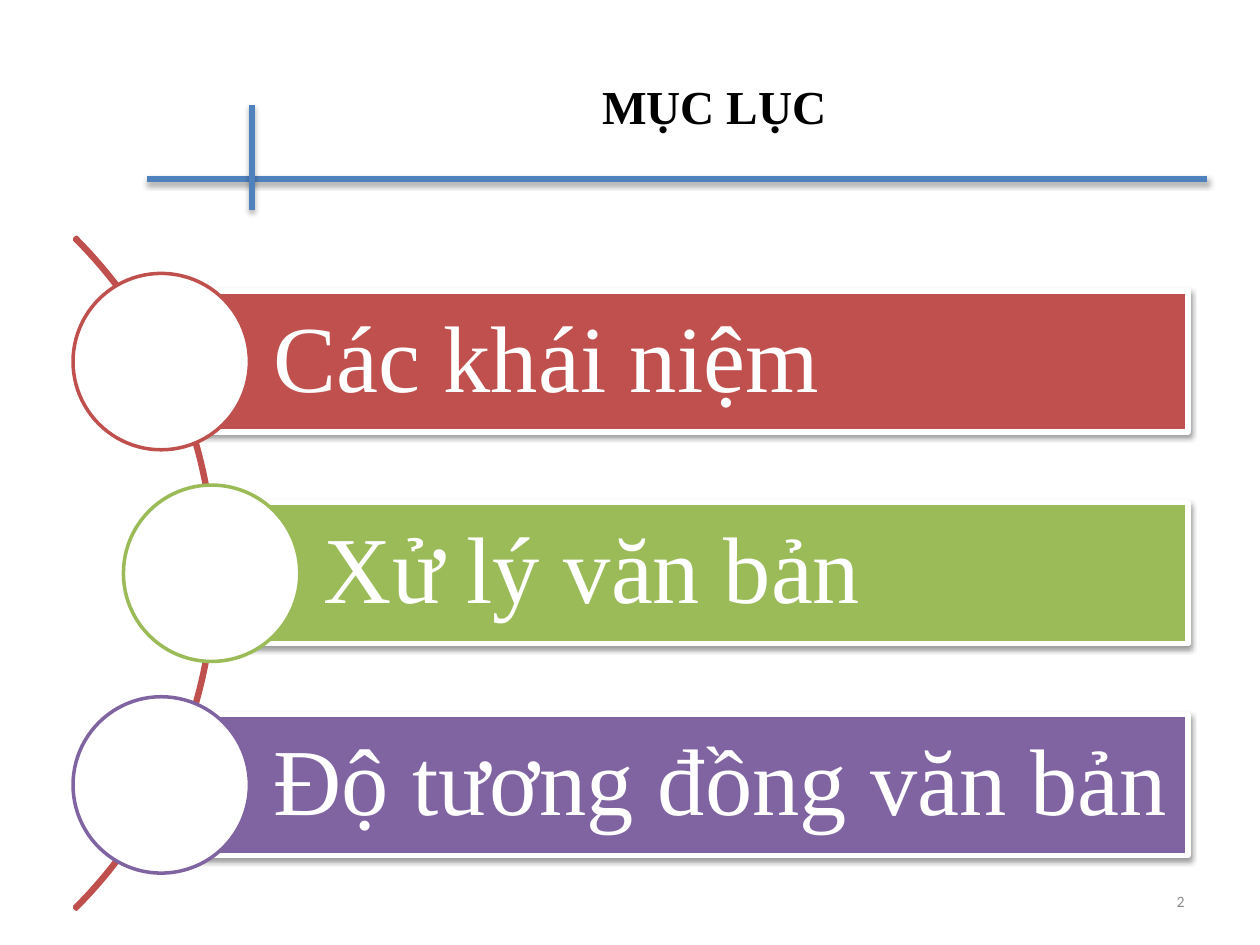
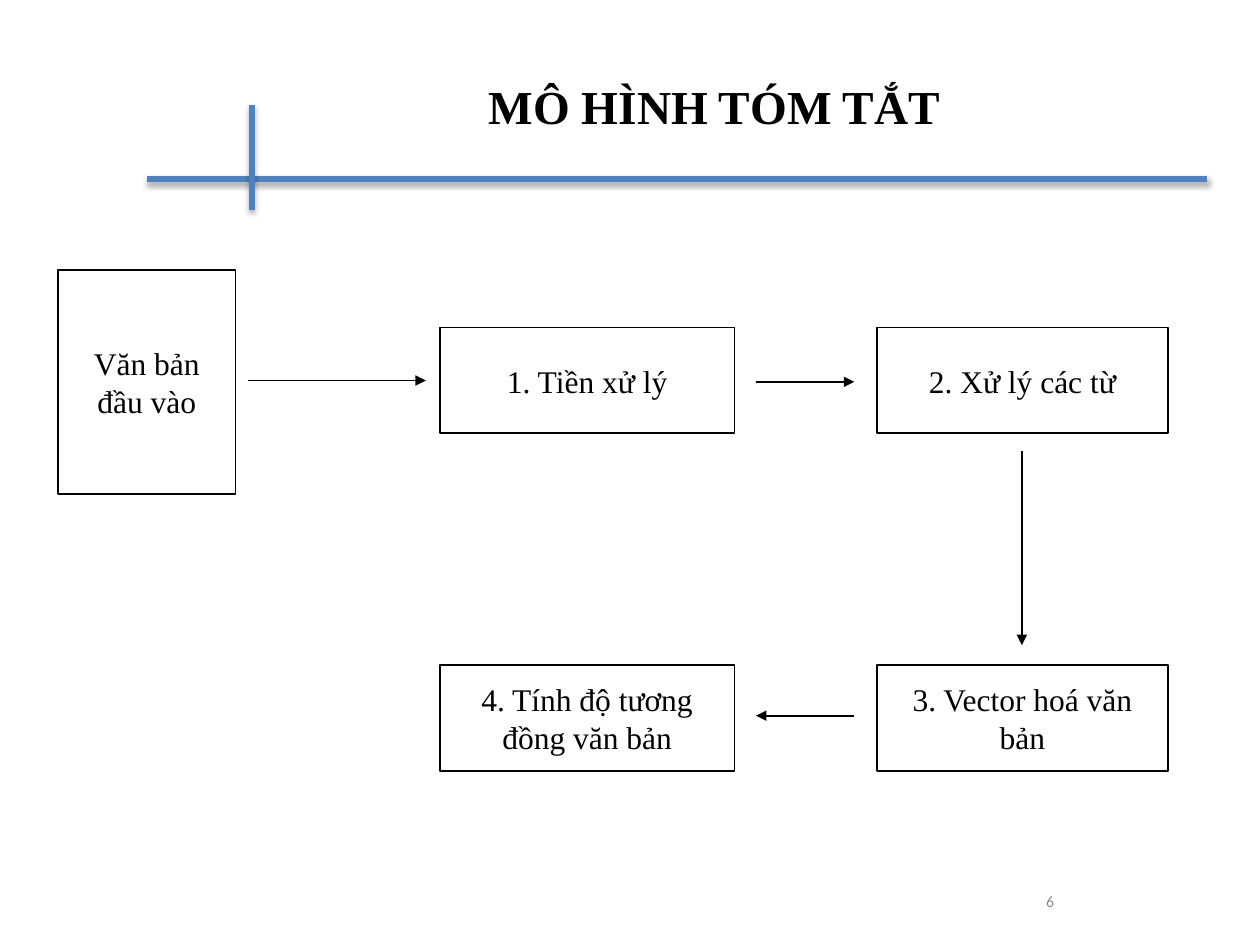
from dataclasses import dataclass

from lxml.etree import SubElement
from pptx import Presentation
from pptx.dml.color import RGBColor as Rgb
from pptx.enum.shapes import MSO_CONNECTOR as Link, MSO_SHAPE as Kind
from pptx.enum.text import MSO_ANCHOR as Anchor, PP_ALIGN as Align
from pptx.oxml.ns import qn
from pptx.util import Inches, Pt


@dataclass(frozen=True)
class Theme:
    """Colours, fonts and sizes that the slides share."""
    ink: str = "000000"
    paper: str = "FFFFFF"
    rule: str = "4F81BD"
    grey: str = "8C8C8C"
    red: str = "C0504D"
    green: str = "9BBB59"
    violet: str = "8064A2"
    serif: str = "Times New Roman"
    sans: str = "Calibri"
    title: int = 27
    topic: int = 54
    step: int = 18
    note: int = 9


LOOK = Theme()


def inch(*vals):
    """Turn numbers into lengths."""
    return [Inches(val) for val in vals]


def shade(shape, alpha=None, dist=0):
    """Set a soft shadow below a shape, or none at all."""
    effect = SubElement(shape._element.spPr, qn("a:effectLst"))
    if alpha:
        drop = SubElement(effect, qn("a:outerShdw"), blurRad=str(Pt(3.1)),
                          dist=str(Pt(dist)), dir="5400000", rotWithShape="0")
        tint = SubElement(drop, qn("a:srgbClr"), val=LOOK.ink)
        SubElement(tint, qn("a:alpha"), val=str(alpha * 1000))


def write(shape, text, size, hue=LOOK.ink, font=LOOK.serif, bold=False, align=Align.CENTER):
    """Write one paragraph, centred in height."""
    frame = shape.text_frame
    frame.word_wrap = True
    frame.vertical_anchor = Anchor.MIDDLE
    para = frame.paragraphs[0]
    para.alignment = align
    run = para.add_run()
    run.text = text
    run.font.size = Pt(size)
    run.font.name = font
    run.font.bold = bold
    run.font.color.rgb = Rgb.from_string(hue)
    return para


def label(slide, box, text, size, **style):
    """Add a text box."""
    write(slide.shapes.add_textbox(*inch(*box)), text, size, **style)


def form(slide, kind, box, fill, edge, width, shadow=()):
    """Add a preset shape with its fill, line and shadow."""
    shape = slide.shapes.add_shape(kind, *inch(*box))
    if fill:
        shape.fill.solid()
        shape.fill.fore_color.rgb = Rgb.from_string(fill)
    else:
        shape.fill.background()
    shape.line.color.rgb = Rgb.from_string(edge)
    shape.line.width = Pt(width)
    shade(shape, *shadow)
    return shape


def line(slide, ends, hue, width, shadow=(), arrow=False):
    """Add a straight line, with an arrowhead if asked."""
    link = slide.shapes.add_connector(Link.STRAIGHT, *inch(*ends))
    link.line.color.rgb = Rgb.from_string(hue)
    link.line.width = Pt(width)
    if arrow:
        SubElement(link.line._get_or_add_ln(), qn("a:tailEnd"), type="triangle")
    shade(link, *shadow)


def start(deck, title, page, align):
    """Add a slide with crossed rules, title and page number."""
    slide = deck.slides.add_slide(deck.slide_layouts[6])
    for ends in ((1.17, 1.42, 9.58, 1.42), (2, 0.83, 2, 1.67)):
        line(slide, ends, LOOK.rule, 3, (35, 1.8))
    label(slide, (1.17, 0.21, 9, 1.25), title, LOOK.title, bold=True)
    label(slide, (7.17, 6.95, 2.33, 0.4), page, LOOK.note,
          hue=LOOK.grey, font=LOOK.sans, align=align)
    return slide


def topic(slide, left, top, text, hue):
    """Add a topic bar that starts at the centre of its circle."""
    size, high, right = 1.4, 1.12, 9.43
    mid = left + size / 2
    bar = form(slide, Kind.RECTANGLE, (mid, top + (size - high) / 2, right - mid, high),
               hue, LOOK.paper, 3, (38, 1.6))
    para = write(bar, text, LOOK.topic, LOOK.paper, align=Align.LEFT)
    para.line_spacing = 0.9
    frame = bar.text_frame
    frame.margin_left = Inches(0.89)
    frame.margin_right = Inches(0.1)
    frame.margin_top = frame.margin_bottom = Inches(0.15)
    form(slide, Kind.OVAL, (left, top, size, size), LOOK.paper, hue, 2)


def step(slide, box, text):
    """Add a box of the flow."""
    write(form(slide, Kind.RECTANGLE, box, LOOK.paper, LOOK.ink, 1), text, LOOK.step)


def agenda(deck):
    """Build the list of contents."""
    slide = start(deck, "MỤC LỤC", "2", Align.RIGHT)
    arc = form(slide, Kind.BLOCK_ARC, (-5.83, 0.78, 7.54, 7.54), None, LOOK.red, 2)
    for pos, val in enumerate((189, 27, 0.003)):
        arc.adjustments[pos] = val
    topics = (("Các khái niệm", LOOK.red, 0.58),
              ("Xử lý văn bản", LOOK.green, 0.98),
              ("Độ tương đồng văn bản", LOOK.violet, 0.58))
    for row, (text, hue, left) in enumerate(topics):
        topic(slide, left, 2.17 + 1.68 * row, text, hue)


def model(deck):
    """Build the flow of the model."""
    slide = start(deck, "MÔ HÌNH TÓM TẮT", "6", Align.CENTER)
    step(slide, (0.46, 2.14, 1.41, 1.78), "Văn bản đầu vào")
    cols, rows = ((3.49, 2.34), (6.96, 2.31)), (2.6, 5.28)
    steps = ((0, 0, "1. Tiền xử lý"), (1, 0, "2. Xử lý các từ"),
             (1, 1, "3. Vector hoá văn bản"), (0, 1, "4. Tính độ tương đồng văn bản"))
    for col, row, text in steps:
        left, wide = cols[col]
        step(slide, (left, rows[row], wide, 0.84), text)
    for ends in ((1.97, 3.02, 3.38, 3.02), (6, 3.03, 6.78, 3.03),
                 (6.78, 5.68, 6, 5.68), (8.11, 3.58, 8.11, 5.12)):
        line(slide, ends, LOOK.ink, 1, arrow=True)


def main():
    """Build and save the slides."""
    deck = Presentation()
    deck.slide_width, deck.slide_height = inch(10, 7.5)
    agenda(deck)
    model(deck)
    deck.save("out.pptx")


if __name__ == "__main__":
    main()
